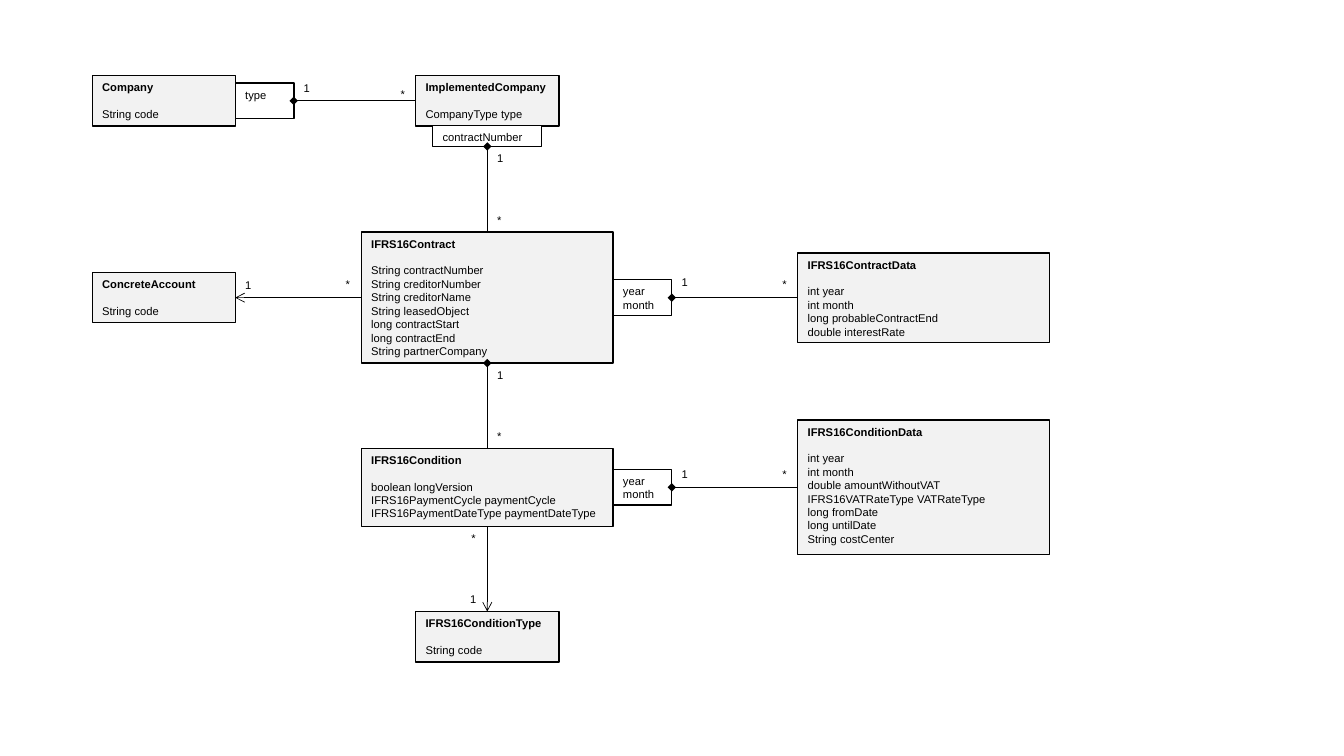
from lxml import etree
from pptx import Presentation
from pptx.dml.color import RGBColor
from pptx.enum.shapes import MSO_CONNECTOR, MSO_SHAPE
from pptx.enum.text import MSO_ANCHOR, MSO_AUTO_SIZE, PP_ALIGN
from pptx.oxml.ns import qn
from pptx.util import Cm, Pt

RECT, LINE = MSO_SHAPE.RECTANGLE, MSO_CONNECTOR.STRAIGHT
TOP, LEFT, GROW = MSO_ANCHOR.TOP, PP_ALIGN.LEFT, MSO_AUTO_SIZE.SHAPE_TO_FIT_TEXT
COLORS = {"ink": "000000", "class": "F2F2F2", "key": "FFFFFF"}


def write(frame, lines, size=8, font="Arial", color="ink", head=False, gap=9.5):
    """Fill a text frame with lines, optionally led by a bold heading."""
    frame.vertical_anchor = TOP
    for i, line in enumerate(lines):
        para = frame.paragraphs[0] if i == 0 else frame.add_paragraph()
        para.alignment = LEFT
        run = para.add_run()
        run.text = line
        run.font.size, run.font.name = Pt(size), font
        run.font.color.rgb = RGBColor.from_string(COLORS[color])
        run.font.bold = head and i == 0
        if head and i == 0:
            para.space_after = Pt(gap)


class Diagram:
    """Draw the parts of a class diagram on one slide."""

    def __init__(self, slide):
        """Keep the slide to draw on."""
        self.shapes = slide.shapes

    def box(self, x, y, width, height, lines, fill, head=False):
        """Draw a box centred on a point."""
        shape = self.shapes.add_shape(
            RECT, Cm(x - width / 2), Cm(y - height / 2), Cm(width), Cm(height))
        shape.shadow.inherit = False
        shape.fill.solid()
        shape.fill.fore_color.rgb = RGBColor.from_string(COLORS[fill])
        shape.line.color.rgb = RGBColor.from_string(COLORS["ink"])
        shape.line.width = Pt(1)
        shape.text_frame.word_wrap = True
        write(shape.text_frame, lines, head=head)

    def link(self, x1, y1, x2, y2, tip):
        """Draw a line that ends in a diamond or an arrow."""
        line = self.shapes.add_connector(LINE, Cm(x1), Cm(y1), Cm(x2), Cm(y2))
        line.line.color.rgb = RGBColor.from_string(COLORS["ink"])
        line.line.width = Pt(0.5)
        etree.SubElement(line.line._get_or_add_ln(), qn("a:tailEnd"), type=tip)
        etree.SubElement(line._element.spPr, qn("a:effectLst"))

    def label(self, text, x, y):
        """Place a multiplicity by its top left corner."""
        width = 0.69 if text == "1" else 0.64
        frame = self.shapes.add_textbox(Cm(x), Cm(y), Cm(width), Cm(0.61)).text_frame
        frame.word_wrap = False
        frame.auto_size = GROW
        write(frame, [text])


WEST, MID, EAST = 4.13, 12.28, 23.28
ROW1, ROW2, ROW3, ROW4 = 2.54, 7.5, 12.28, 16.05
SMALL, WIDE = 3.61, 6.35

CLASSES = [
    (WEST, ROW1, SMALL, 1.27, ["Company", "String code"]),
    (MID, ROW1, SMALL, 1.27, ["ImplementedCompany", "CompanyType type"]),
    (WEST, ROW2, SMALL, 1.27, ["ConcreteAccount", "String code"]),
    (MID, ROW2, WIDE, 3.3, [
        "IFRS16Contract", "String contractNumber", "String creditorNumber",
        "String creditorName", "String leasedObject", "long contractStart",
        "long contractEnd", "String partnerCompany"]),
    (EAST, ROW2, WIDE, 2.25, [
        "IFRS16ContractData", "int year", "int month",
        "long probableContractEnd", "double interestRate"]),
    (MID, ROW3, WIDE, 1.97, [
        "IFRS16Condition", "boolean longVersion",
        "IFRS16PaymentCycle paymentCycle",
        "IFRS16PaymentDateType paymentDateType"]),
    (EAST, ROW3, WIDE, 3.39, [
        "IFRS16ConditionData", "int year", "int month",
        "double amountWithoutVAT", "IFRS16VATRateType VATRateType",
        "long fromDate", "long untilDate", "String costCenter"]),
    (MID, ROW4, SMALL, 1.27, ["IFRS16ConditionType", "String code"]),
]
KEYS = [
    (6.67, ROW1, 1.48, 0.9, ["type"]),
    (MID, 3.43, 2.75, 0.52, ["contractNumber"]),
    (16.19, ROW2, 1.48, 0.9, ["year", "month"]),
    (16.19, ROW3, 1.48, 0.9, ["year", "month"]),
]
LINKS = [
    (10.47, ROW1, 7.4, ROW1, "diamond"),
    (MID, 5.85, MID, 3.69, "diamond"),
    (9.1, ROW2, 5.93, ROW2, "arrow"),
    (20.11, ROW2, 16.93, ROW2, "diamond"),
    (MID, 11.3, MID, 9.15, "diamond"),
    (20.11, ROW3, 16.93, ROW3, "diamond"),
    (MID, 13.27, MID, 15.41, "arrow"),
]
LABELS = [
    ("1", 7.4, 1.93), ("*", 9.85, 2.08),
    ("1", MID, 3.69), ("*", MID, 5.26),
    ("1", 5.93, 6.88), ("*", 8.46, 6.86),
    ("1", 16.93, 6.81), ("*", 19.47, 6.86),
    ("1", MID, 9.15), ("*", MID, 10.7),
    ("1", 16.93, 11.64), ("*", 19.47, 11.64),
    ("1", 11.6, 14.81), ("*", 11.63, 13.27),
]

deck = Presentation()
deck.slide_width, deck.slide_height = Cm(33.87), Cm(19.05)
chart = Diagram(deck.slides.add_slide(deck.slide_layouts[6]))
for item in CLASSES:
    chart.box(*item, fill="class", head=True)
for item in KEYS:
    chart.box(*item, fill="key")
for item in LINKS:
    chart.link(*item)
for item in LABELS:
    chart.label(*item)
deck.save("out.pptx")
